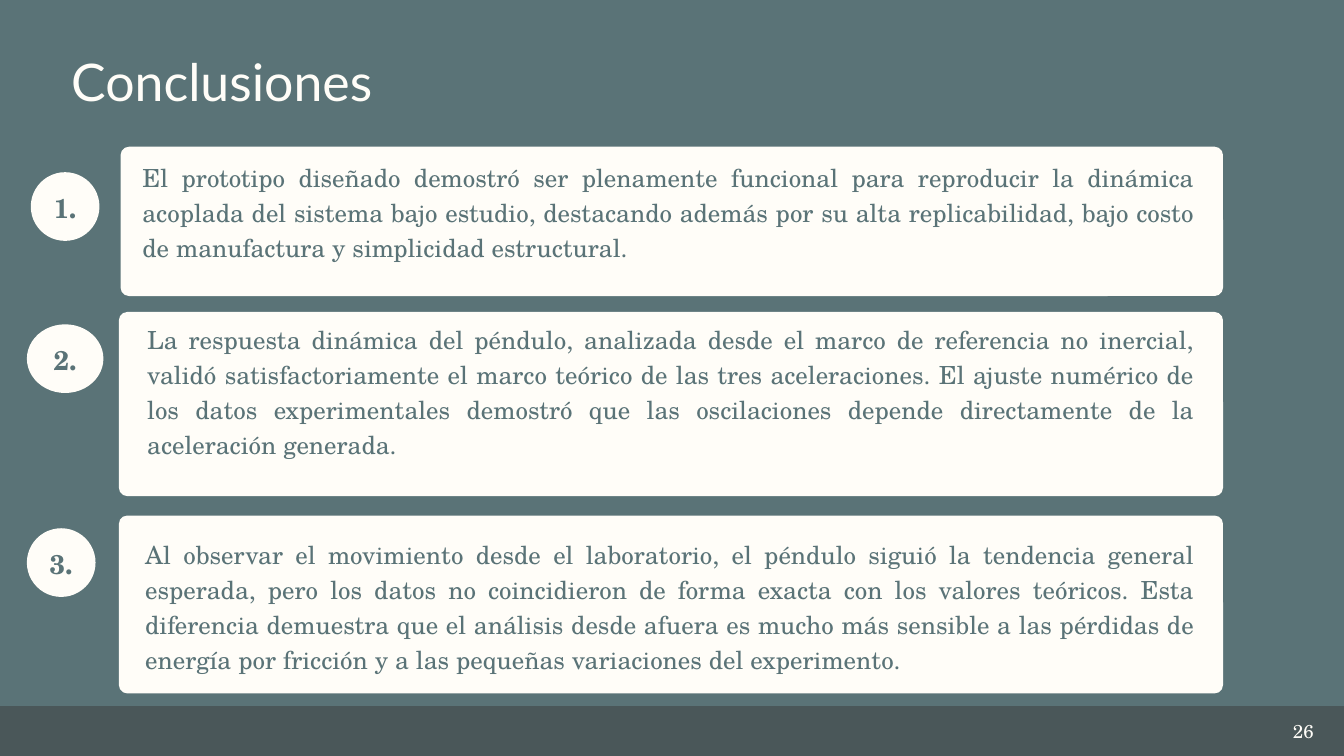
from pptx import Presentation
from pptx.dml.color import RGBColor
from pptx.enum.shapes import MSO_SHAPE
from pptx.enum.text import MSO_ANCHOR, PP_ALIGN
from pptx.util import Pt

RECTANGLE = MSO_SHAPE.RECTANGLE
ROUNDED = MSO_SHAPE.ROUNDED_RECTANGLE
OVAL = MSO_SHAPE.OVAL
TOP, MIDDLE = MSO_ANCHOR.TOP, MSO_ANCHOR.MIDDLE
LEFT, CENTER, RIGHT, JUSTIFY = PP_ALIGN.LEFT, PP_ALIGN.CENTER, PP_ALIGN.RIGHT, PP_ALIGN.JUSTIFY

TEAL, CREAM, SLATE = "5A7377", "FFFDF8", "4A5759"
SANS, SERIF = "Lato", "TeX Gyre Schola"
WIDTH, HEIGHT = 1440, 810
FOOTER_TOP = 756.5
CARD_RIGHT, TEXT_RIGHT = 1310.4, 1280.9
CORNER = 9
BADGE_HEIGHT = 73.6

CONCLUSIONS = [
    {
        "text": "El prototipo diseñado demostró ser plenamente funcional para reproducir la dinámica "
                "acoplada del sistema bajo estudio, destacando además por su alta replicabilidad, "
                "bajo costo de manufactura y simplicidad estructural.",
        "card": (129.2, 157.2, 160),
        "badge": (33, 184.5, 73.6),
        "body": (152.6, 169.2, 109.4),
    },
    {
        "text": "La respuesta dinámica del péndulo, analizada desde el marco de referencia no inercial, "
                "validó satisfactoriamente el marco teórico de las tres aceleraciones. El ajuste numérico "
                "de los datos experimentales demostró que las oscilaciones depende directamente de la "
                "aceleración generada.",
        "card": (127.4, 334.3, 197.3),
        "badge": (28.8, 347.5, 82),
        "body": (157.7, 342.7, 146.2),
    },
    {
        "text": "Al observar el movimiento desde el laboratorio, el péndulo siguió la tendencia general "
                "esperada, pero los datos no coincidieron de forma exacta con los valores teóricos. Esta "
                "diferencia demuestra que el análisis desde afuera es mucho más sensible a las pérdidas "
                "de energía por fricción y a las pequeñas variaciones del experimento.",
        "card": (127.4, 552.4, 190.6),
        "badge": (28.8, 566, 73.6),
        "body": (155.5, 573.1, 146.2),
    },
]


def color(value):
    return RGBColor.from_string(value)


def add_block(page, kind, left, top, width, height, fill):
    shape = page.shapes.add_shape(kind, Pt(left), Pt(top), Pt(width), Pt(height))
    shape.shadow.inherit = False
    shape.fill.solid()
    shape.fill.fore_color.rgb = color(fill)
    shape.line.fill.background()
    return shape


def add_box(page, left, top, width, height):
    return page.shapes.add_textbox(Pt(left), Pt(top), Pt(width), Pt(height))


def write(shape, text, size, spacing, font=SERIF, fill=TEAL, bold=False,
          align=LEFT, anchor=TOP, bottom=0):
    frame = shape.text_frame
    frame.word_wrap = True
    frame.vertical_anchor = anchor
    frame.margin_left = frame.margin_right = frame.margin_top = 0
    frame.margin_bottom = Pt(bottom)
    para = frame.paragraphs[0]
    para.alignment = align
    para.line_spacing = Pt(spacing)
    span = para.add_run()
    span.text = text
    span.font.name = font
    span.font.size = Pt(size)
    span.font.bold = bold
    span.font.color.rgb = color(fill)


def add_conclusion(page, number, item):
    left, top, height = item["card"]
    width = CARD_RIGHT - left
    card = add_block(page, ROUNDED, left, top, width, height, CREAM)
    card.adjustments[0] = CORNER / height

    left, top, width = item["badge"]
    badge = add_block(page, OVAL, left, top, width, BADGE_HEIGHT, CREAM)
    write(badge, f"{number}.", 29, 40.6, bold=True, align=CENTER, anchor=MIDDLE, bottom=4)

    left, top, height = item["body"]
    body = add_box(page, left, top, TEXT_RIGHT - left, height)
    write(body, item["text"], 26.7, 37.4, align=JUSTIFY)


def main():
    deck = Presentation()
    deck.slide_width, deck.slide_height = Pt(WIDTH), Pt(HEIGHT)
    page = deck.slides.add_slide(deck.slide_layouts[6])
    page.background.fill.solid()
    page.background.fill.fore_color.rgb = color(TEAL)

    title = add_box(page, 76.3, 41.8, 884, 75)
    write(title, "Conclusiones", 55.5, 77.7, font=SANS, fill=CREAM)
    add_block(page, RECTANGLE, 0, FOOTER_TOP, WIDTH, HEIGHT - FOOTER_TOP, SLATE)
    for number, item in enumerate(CONCLUSIONS, 1):
        add_conclusion(page, number, item)
    page_number = add_box(page, CARD_RIGHT, 767.5, 97.2, 40)
    write(page_number, "26", 20, 28, fill=CREAM, align=RIGHT)
    deck.save("out.pptx")


if __name__ == "__main__":
    main()
